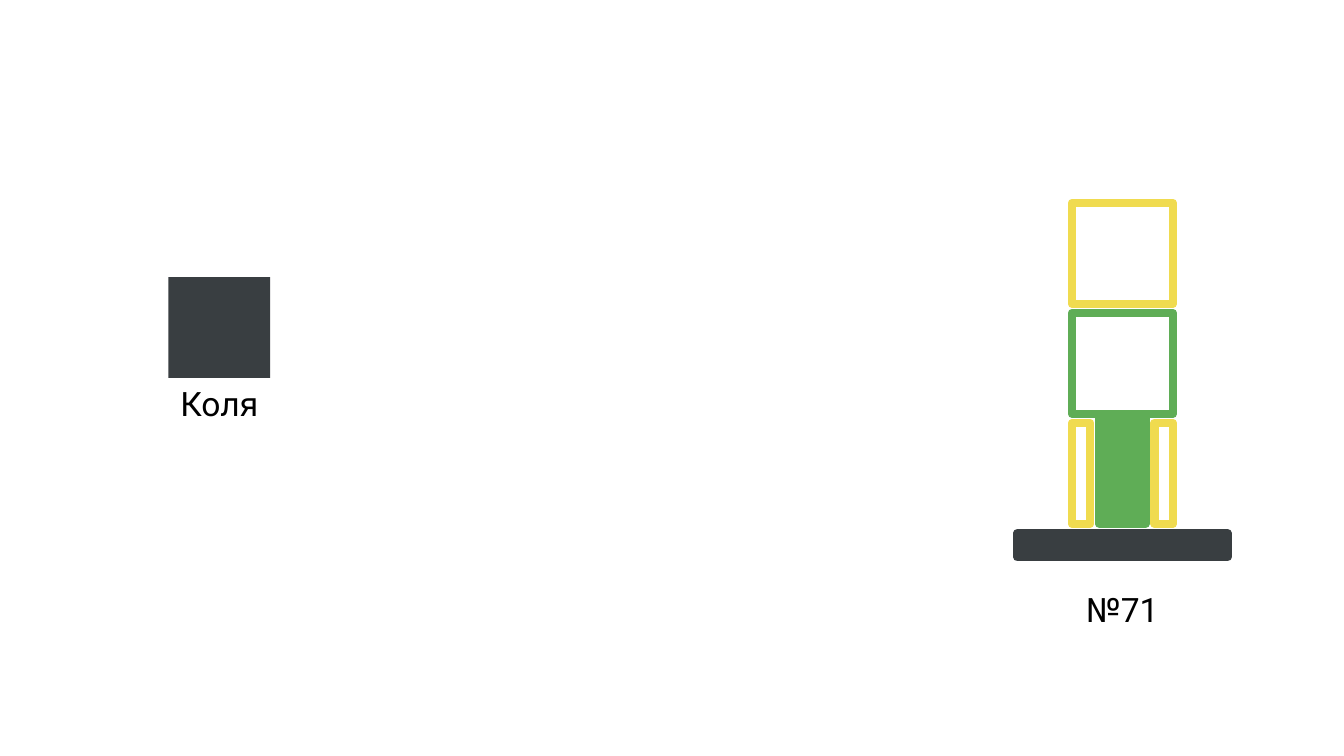
import pptx
import pptx.util
from dataclasses import dataclass
from pptx.dml.color import RGBColor
from pptx.enum.shapes import MSO_SHAPE
from pptx.enum.text import MSO_AUTO_SIZE, PP_ALIGN

Pt = pptx.util.Pt


@dataclass(frozen=True)
class Theme:
    dark: str = "393E41"
    yellow: str = "F0DB4F"
    green: str = "5FAD56"
    text: str = "000000"
    font: str = "Roboto"
    label_size: float = 24
    outline: float = 6


class Page:
    """Holds the theme and the current slide; all lengths are in points."""

    def __init__(self, deck, theme):
        self.theme = theme
        self.slide = deck.slides.add_slide(deck.slide_layouts[6])

    def block(self, left, top, width, height, fill=None, line=None):
        box = self.slide.shapes.add_shape(
            MSO_SHAPE.RECTANGLE, Pt(left), Pt(top), Pt(width), Pt(height))
        box.shadow.inherit = False
        if fill:
            box.fill.solid()
            box.fill.fore_color.rgb = RGBColor.from_string(fill)
        else:
            box.fill.background()
        if line:
            box.line.color.rgb = RGBColor.from_string(line)
            box.line.width = Pt(self.theme.outline)
        else:
            box.line.fill.background()

    def label(self, text, left, top, width, height=36):
        box = self.slide.shapes.add_textbox(Pt(left), Pt(top), Pt(width), Pt(height))
        frame = box.text_frame
        frame.word_wrap = True
        frame.auto_size = MSO_AUTO_SIZE.SHAPE_TO_FIT_TEXT
        para = frame.paragraphs[0]
        para.text = text
        para.alignment = PP_ALIGN.CENTER
        para.font.name = self.theme.font
        para.font.size = Pt(self.theme.label_size)
        para.font.color.rgb = RGBColor.from_string(self.theme.text)


def main():
    deck = pptx.Presentation()
    deck.slide_width, deck.slide_height = Pt(960), Pt(540)
    theme = Theme()
    page = Page(deck, theme)

    # Player on the left
    player_left, player_top, player_width, player_height = 120.3, 198, 72.7, 72
    page.block(player_left, player_top, player_width, player_height, fill=theme.dark)
    page.label("Коля", player_left, player_top + player_height, player_width)

    # Tower on the right: levels share one centre and one pitch
    centre, tower_top, pitch = 801.75, 145, 78.6
    cube, leg, column, base = 72, 13, 33, 150
    left = centre - cube / 2
    levels = [tower_top + pitch * step for step in range(4)]

    # Two cubes
    for top, colour in zip(levels, (theme.yellow, theme.green)):
        page.block(left, top, cube, cube, line=colour)

    # Legs on both sides of the column
    for leg_left in (left, left + cube - leg):
        page.block(leg_left, levels[2], leg, cube, line=theme.yellow)
    page.block(centre - column / 2, levels[1] + cube, column, pitch,
               fill=theme.green, line=theme.green)

    # Base and its number
    base_left = centre - base / 2
    page.block(base_left, levels[3], base, 17.3, fill=theme.dark, line=theme.dark)
    page.label("№71", base_left, 417, base)

    deck.save("out.pptx")


if __name__ == "__main__":
    main()
